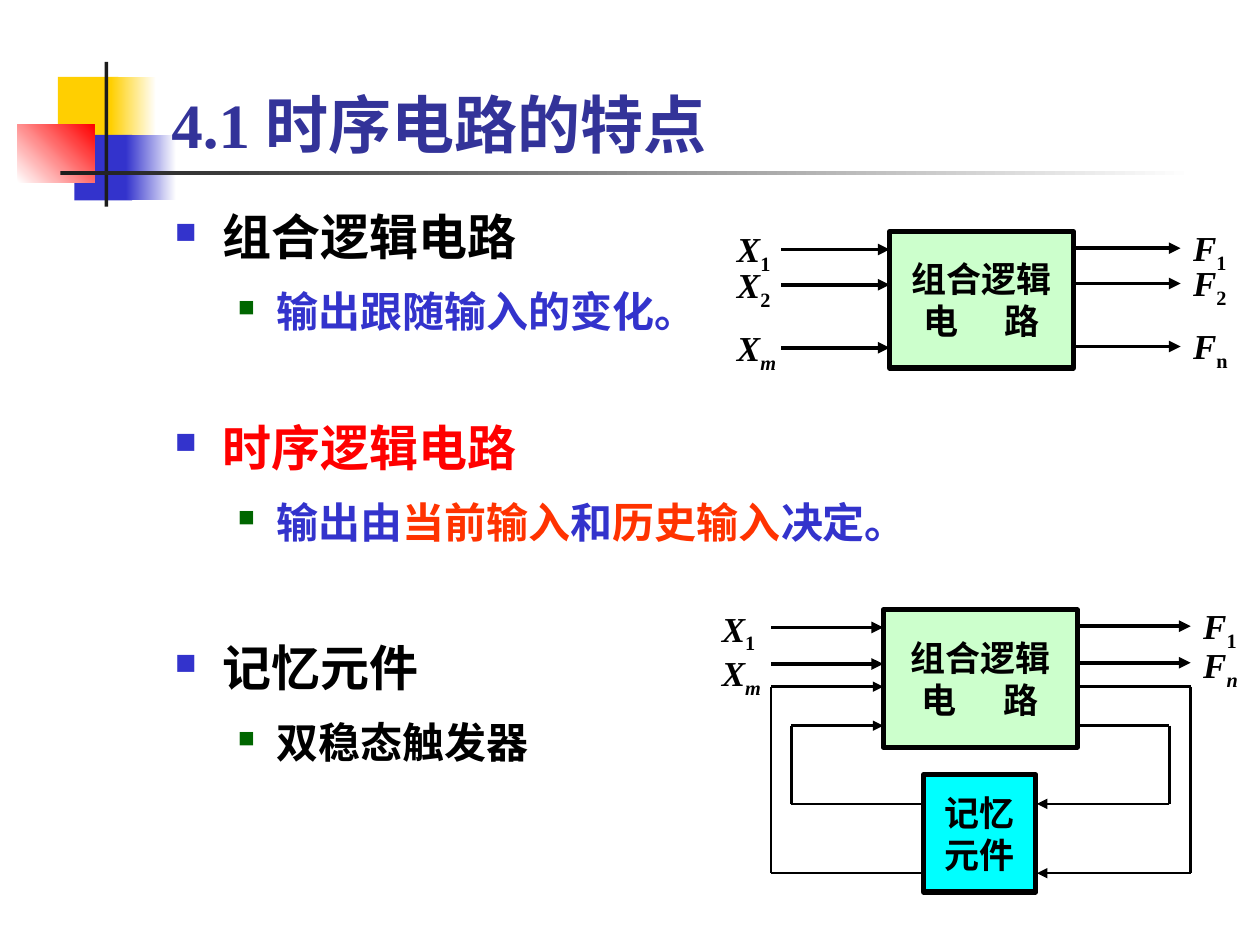
import itertools

import pptx
import pptx.dml.color
import pptx.enum.shapes
import pptx.enum.text
import pptx.oxml
import pptx.oxml.ns
import pptx.util

Inches, Pt = pptx.util.Inches, pptx.util.Pt
ANCHOR = pptx.enum.text.MSO_ANCHOR
ALIGN = pptx.enum.text.PP_ALIGN
AUTO = pptx.enum.text.MSO_AUTO_SIZE

COLORS = {
    "black": "000000", "white": "FFFFFF", "ink": "1C1C1C", "gold": "FFCF01",
    "blue": "3333CC", "title": "333399", "red": "FF0000", "orange": "FF3300",
    "dark_green": "006600", "mint": "CCFFCC", "cyan": "00FFFF",
}
SERIF, SANS = "Times New Roman", "Lato"
BULLETS = [  # margin, indent, colour, size in percent, text size
    (0.38, -0.38, "blue", 60, 28),
    (0.81, -0.31, "dark_green", 55, 24),
]


def rgb(name):
    return pptx.dml.color.RGBColor.from_string(COLORS[name])


def xml(tag, attrs="", inner=""):
    ns = pptx.oxml.ns.nsdecls("a")
    return pptx.oxml.parse_xml(f"<a:{tag} {ns} {attrs}>{inner}</a:{tag}>")


class Deck:
    """Holds the style and the current slide."""

    def __init__(self, prs):
        self.s = prs.slides.add_slide(prs.slide_layouts[5])
        self.shapes = self.s.shapes

    def run(self, p, text, color="black", gap=0, base=0, **font):
        """Add a run; gap is extra letter spacing and base a percent shift."""
        r = p.add_run()
        r.text = text
        for key, value in {"name": SERIF, "size": Pt(20), "bold": True, **font}.items():
            setattr(r.font, key, value)
        r.font.color.rgb = rgb(color)
        for key, value in {"spc": gap * 100, "baseline": base * 1000}.items():
            if value:
                r.font._element.set(key, str(value))

    def title(self, text):
        sp = self.shapes.title
        box = {"left": 1.26, "top": 0.08, "width": 8.52, "height": 1.25}
        for key, value in box.items():
            setattr(sp, key, Inches(value))
        tf = sp.text_frame
        frame = {"vertical_anchor": ANCHOR.BOTTOM, "word_wrap": True,
                 "auto_size": AUTO.NONE}
        for key, value in frame.items():
            setattr(tf, key, value)
        p = tf.paragraphs[0]
        p.alignment = ALIGN.LEFT
        self.run(p, text, "title", size=Pt(36))
        sp.element.getparent().append(sp.element)  # bring to front

    def rect(self, x, y, w, h, fill, fade_to=None, angle=0, line=None):
        sp = self.shapes.add_shape(pptx.enum.shapes.MSO_SHAPE.RECTANGLE,
                                   *map(Inches, (x, y, w, h)))
        sp.shadow.inherit = False
        if fade_to:
            sp.fill.gradient()
            sp.fill.gradient_angle = angle
            for stop, color in zip(sp.fill.gradient_stops, (fill, fade_to)):
                stop.color.rgb = rgb(color)
        else:
            sp.fill.solid()
            sp.fill.fore_color.rgb = rgb(fill)
        if line:
            sp.line.color.rgb = rgb("black")
            sp.line.width = Pt(line)
        else:
            sp.line.fill.background()
        return sp

    def block(self, x, y, w, h, fill, lines):
        """Outlined box of centred lines; a line is a list of (text, gap)."""
        tf = self.rect(x, y, w, h, fill, line=3).text_frame
        tf.word_wrap = False
        tf.vertical_anchor = ANCHOR.MIDDLE
        for i, parts in enumerate(lines):
            p = tf.add_paragraph() if i else tf.paragraphs[0]
            p.alignment = ALIGN.CENTER
            for text, gap in parts:
                self.run(p, text, gap=gap, name=SANS)

    def wire(self, points, width=1.5):
        """Straight segments through the points, with an arrow at the end."""
        for start, end in itertools.pairwise(points):
            c = self.shapes.add_connector(pptx.enum.shapes.MSO_CONNECTOR.STRAIGHT,
                                          *map(Inches, start + end))
            c.line.color.rgb = rgb("black")
            c.line.width = Pt(width)
            if end == points[-1]:
                c.line._get_or_add_ln().append(xml("tailEnd", 'type="triangle"'))
            c.element.spPr.append(xml("effectLst"))

    def label(self, x, y, letter, index, italic=False):
        width = 0.55 if index == "m" else 0.49
        tf = self.shapes.add_textbox(*map(Inches, (x, y, width, 0.43))).text_frame
        tf.word_wrap = False
        tf.auto_size = AUTO.SHAPE_TO_FIT_TEXT
        p = tf.paragraphs[0]
        self.run(p, letter, italic=True)
        self.run(p, index, base=-25, italic=italic)

    def bullets(self, y, w, h, *paragraphs):
        """Two-level list; each paragraph is a list of (text, colour)."""
        tf = self.shapes.add_textbox(*map(Inches, (1.29, y, w, h))).text_frame
        tf.word_wrap = True
        for level, parts in enumerate(paragraphs):
            margin, indent, color, percent, size = BULLETS[level]
            p = tf.add_paragraph() if level else tf.paragraphs[0]
            p.level = level
            p.line_spacing = 1.2
            pPr = p._p.get_or_add_pPr()
            pPr.set("marL", str(Inches(margin)))
            pPr.set("indent", str(Inches(indent)))
            pPr.append(xml("spcAft", inner='<a:spcPct val="20000"/>'))
            pPr.append(xml("buClr", inner=f'<a:srgbClr val="{COLORS[color]}"/>'))
            pPr.append(xml("buSzPct", f'val="{percent * 1000}"'))
            pPr.append(xml("buChar", 'char="■"'))
            for text, text_color in parts:
                self.run(p, text, text_color, size=Pt(size))


LOGIC = [[("组合逻辑", 0)], [("电", 0), (" ", 22), ("路", 0)]]


def decorate(d):
    d.rect(0.46, 0.61, 0.48, 0.52, "gold")
    d.rect(0.88, 0.61, 0.36, 0.52, "gold", "white")
    d.rect(0.59, 1.07, 0.46, 0.52, "blue")
    d.rect(1, 1.07, 0.4, 0.52, "blue", "white")
    d.rect(0.14, 0.99, 0.61, 0.46, "white", "red", 45)
    d.rect(0.83, 0.49, 0.03, 1.15, "ink")
    d.rect(0.48, 1.36, 9, 0.03, "ink", "white")


def combinational_circuit(d):
    d.block(7.06, 1.84, 1.46, 1.08, "mint", LOGIC)
    for y, x_index, f_index in ((1.98, "1", "1"), (2.26, "2", "2"), (2.76, "m", "n")):
        d.wire([(6.2, y), (7.06, y)], 2.25)
        d.wire([(8.52, y - 0.01), (9.37, y - 0.01)], 2.25)
        d.label(5.75, y - 0.22, "X", x_index, x_index == "m")
        d.label(9.37, y - 0.23, "F", f_index)


def sequential_circuit(d):
    d.block(7.01, 4.84, 1.54, 1.09, "mint", LOGIC)
    d.block(7.33, 6.15, 0.89, 0.93, "cyan", [[("记忆", 0)], [("元件", 0)]])
    for y, x_index, f_index, x_top, f_top in ((4.98, "1", "1", 4.77, 4.75),
                                              (5.27, "m", "n", 5.12, 5.06)):
        d.wire([(6.12, y), (7.01, y)], 2.25)
        d.wire([(8.55, y - 0.01), (9.45, y - 0.01)], 2.25)
        d.label(5.63, x_top, "X", x_index, x_index == "m")
        d.label(9.45, f_top, "F", f_index, f_index == "n")
    # Feedback loops through the memory block
    for left, right, top, bottom in ((6.28, 9.28, 5.76, 6.38), (6.12, 9.45, 5.45, 6.93)):
        d.wire([(8.55, top), (right, top), (right, bottom), (8.23, bottom)])
        d.wire([(7.33, bottom), (left, bottom), (left, top), (7.01, top)])


def main():
    prs = pptx.Presentation()
    prs.slide_width, prs.slide_height = Inches(10), Inches(7.5)
    d = Deck(prs)
    decorate(d)
    d.title("4.1 时序电路的特点")
    d.bullets(1.5, 6.04, 1.33, [("组合逻辑电路", "black")],
              [("输出跟随输入的变化。", "blue")])
    sequential_circuit(d)
    combinational_circuit(d)
    d.bullets(3.17, 6.04, 1.42, [("时序逻辑电路", "red")],
              [("输出由", "blue"), ("当前输入", "orange"), ("和", "blue"),
               ("历史输入", "orange"), ("决定。", "blue")])
    d.bullets(4.92, 3.54, 1.33, [("记忆元件", "black")], [("双稳态触发器", "black")])
    prs.save("out.pptx")


if __name__ == "__main__":
    main()
